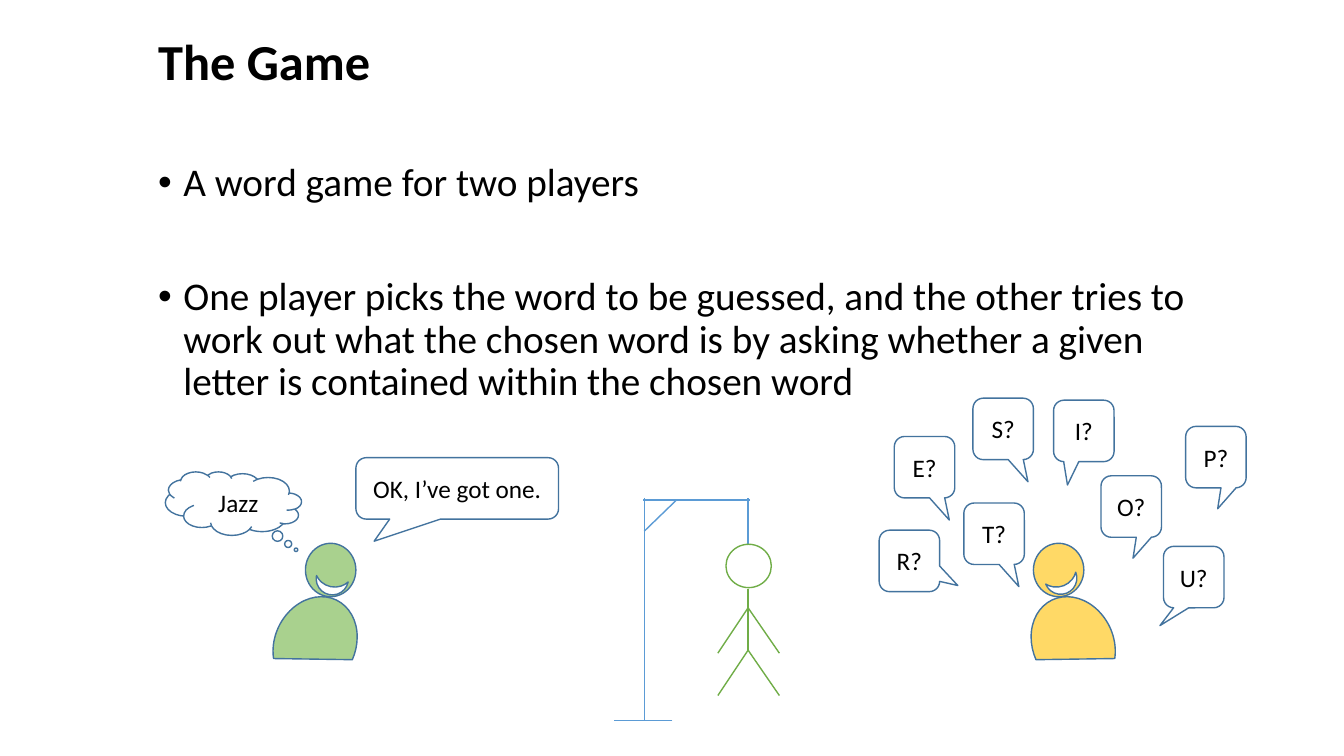
from dataclasses import dataclass
from typing import Any

from lxml.etree import SubElement
from pptx import Presentation
from pptx.dml.color import RGBColor
from pptx.enum.shapes import MSO_CONNECTOR, MSO_SHAPE
from pptx.enum.text import MSO_ANCHOR, PP_ALIGN
from pptx.oxml.ns import qn
from pptx.util import Inches, Pt

EDGE, BEAM, MAN = "43739E", "5B9BD5", "70AD47"
WHITE, BLACK = "FFFFFF", "000000"
GREEN, GOLD = "A9D18E", "FFD966"
ROUND, CLOUD = MSO_SHAPE.ROUNDED_RECTANGULAR_CALLOUT, MSO_SHAPE.CLOUD_CALLOUT
HEAD = {"size": Pt(36), "bold": True}
ITEM = {"size": Pt(28), "bold": False}
SPEECH = {"size": Pt(18)}


@dataclass
class Form:
    """A preset shape with its box, colours and geometry."""
    kind: MSO_SHAPE
    box: tuple[float, ...]
    fill: str = WHITE
    edge: str = EDGE
    turn: float = 0
    flip: bool = False
    adj: tuple[float, ...] = ()
    text: str = ""


@dataclass
class Stroke:
    """A straight line between two points."""
    start: tuple[float, float]
    end: tuple[float, float]
    color: str


@dataclass
class Guess:
    """A letter bubble: its corner and where its tail points."""
    letter: str
    left: float
    top: float
    tail: tuple[float, float] = (0.41, 0.86)


@dataclass
class Player:
    """A player: colour, body, head and smile."""
    fill: str
    body: float
    head: float
    smile: float
    rise: float
    turn: float
    tilt: float
    flip: bool


@dataclass
class Point:
    """A text line of the body: format, space before and bullet."""
    text: str
    style: dict[str, Any]
    gap: float
    mark: bool = True


def paint(target: Any, color: str) -> None:
    """Give a fill, line fill or font colour object a hex colour."""
    target.rgb = RGBColor.from_string(color)


def write(para: Any, text: str, style: dict[str, Any]) -> None:
    """Add one formatted run to a paragraph."""
    run = para.add_run()
    run.text = text
    for key, value in ({"name": "Calibri"} | style).items():
        setattr(run.font, key, value)
    paint(run.font.color, BLACK)


def draw_form(slide: Any, form: Form) -> None:
    """Draw a preset shape, with its text if it has any."""
    shape = slide.shapes.add_shape(form.kind, *map(Inches, form.box))
    shape.shadow.inherit = False
    shape.rotation = form.turn
    for idx, value in enumerate(form.adj):
        shape.adjustments[idx] = value
    if form.flip:
        shape.element.spPr.get_or_add_xfrm().set("flipH", "1")
    shape.fill.solid()
    paint(shape.fill.fore_color, form.fill)
    paint(shape.line.color, form.edge)
    shape.line.width = Pt(1)
    if form.text:
        frame = shape.text_frame
        frame.word_wrap = True
        frame.vertical_anchor = MSO_ANCHOR.MIDDLE
        frame.paragraphs[0].alignment = PP_ALIGN.CENTER
        write(frame.paragraphs[0], form.text, SPEECH)


def draw_stroke(slide: Any, stroke: Stroke) -> None:
    """Draw a straight line without a shadow."""
    line = slide.shapes.add_connector(
        MSO_CONNECTOR.STRAIGHT, *map(Inches, stroke.start + stroke.end))
    paint(line.line.color, stroke.color)
    line.line.width = Pt(1)
    SubElement(line.element.spPr, qn("a:effectLst"))


def draw_guess(slide: Any, guess: Guess) -> None:
    """Draw a letter bubble."""
    draw_form(slide, Form(ROUND, (guess.left, guess.top, 0.6, 0.61),
                          adj=guess.tail + (0.17,), text=guess.letter))


def draw_player(slide: Any, who: Player) -> None:
    """Draw a player's body, head and smile."""
    for form in (
        Form(MSO_SHAPE.CHORD, (who.body, 5.99, 0.97, 0.8), who.fill,
             turn=who.turn, flip=who.flip, adj=(27, 160.17)),
        Form(MSO_SHAPE.OVAL, (who.head, 5.39, 0.5, 0.53), who.fill),
        Form(MSO_SHAPE.MOON, (who.smile, who.rise, 0.16, 0.32), turn=who.tilt),
    ):
        draw_form(slide, form)


def draw_body(slide: Any, points: list[Point]) -> None:
    """Write the heading and the bulleted points."""
    box = slide.shapes.add_textbox(*map(Inches, (1.47, 0.32, 10.89, 2.51)))
    frame = box.text_frame
    frame.word_wrap = True
    for idx, point in enumerate(points):
        para = frame.add_paragraph() if idx else frame.paragraphs[0]
        para.line_spacing = 0.9
        para.space_before = Pt(point.gap)
        if point.mark:
            props = para._p.get_or_add_pPr()
            props.set("marL", str(Inches(0.25)))
            props.set("indent", str(Inches(-0.25)))
            SubElement(props, qn("a:buFont")).set("typeface", "Arial")
            SubElement(props, qn("a:buChar")).set("char", "•")
        write(para, point.text, point.style)


POINTS = [
    Point("The Game", HEAD, 0, False),
    Point("A word game for two players", ITEM, 51),
    Point("One player picks the word to be guessed, and the other tries to "
          "work out what the chosen word is by asking whether a given letter "
          "is contained within the chosen word", ITEM, 51),
]
PLAYERS = [
    Player(GREEN, 2.64, 3.03, 3.2, 5.66, 115.8, 281.6, False),
    Player(GOLD, 10.16, 10.25, 10.47, 5.65, 244.2, 248.5, True),
]
GALLOWS = [
    Stroke((6.39, 4.94), (6.39, 7.15), BEAM),
    Stroke((7.44, 4.96), (6.38, 4.96), BEAM),
    Stroke((7.42, 5.4), (7.42, 4.94), BEAM),
    Stroke((6.67, 7.15), (6.09, 7.15), BEAM),
    Stroke((6.71, 4.96), (6.39, 5.27), BEAM),
]
SPINE = Stroke((7.42, 5.84), (7.42, 6.46), MAN)
LIMBS = [Stroke((7.42, top), (side, top + 0.45), MAN)
         for top in (6.03, 6.45) for side in (7.12, 7.73)]
FORMS = [
    Form(MSO_SHAPE.OVAL, (7.2, 5.4, 0.45, 0.43), edge=MAN),
    Form(ROUND, (3.53, 4.54, 2.01, 0.61), adj=(-0.41, 0.86, 0.17),
         text="OK, I’ve got one."),
    Form(CLOUD, (1.64, 4.68, 1.35, 0.63), flip=True, adj=(-0.46, 0.73),
         text="Jazz"),
]
GUESSES = [
    Guess("S?", 9.65, 3.95),
    Guess("E?", 8.87, 4.33),
    Guess("R?", 8.72, 5.26, (0.8, 0.4)),
    Guess("T?", 9.56, 4.99),
    Guess("I?", 10.45, 3.97, (-0.27, 0.88)),
    Guess("P?", 11.76, 4.23, (0.03, 0.84)),
    Guess("O?", 10.92, 4.72, (0.03, 0.84)),
    Guess("U?", 11.54, 5.42, (-0.56, 0.79)),
]

deck = Presentation()
deck.slide_width, deck.slide_height = Inches(13.33), Inches(7.5)
page = deck.slides.add_slide(deck.slide_layouts[6])
draw_body(page, POINTS)
for player in PLAYERS:
    draw_player(page, player)
for stroke in [*GALLOWS, SPINE, *LIMBS]:
    draw_stroke(page, stroke)
for form in FORMS:
    draw_form(page, form)
for guess in GUESSES:
    draw_guess(page, guess)
deck.save("out.pptx")
